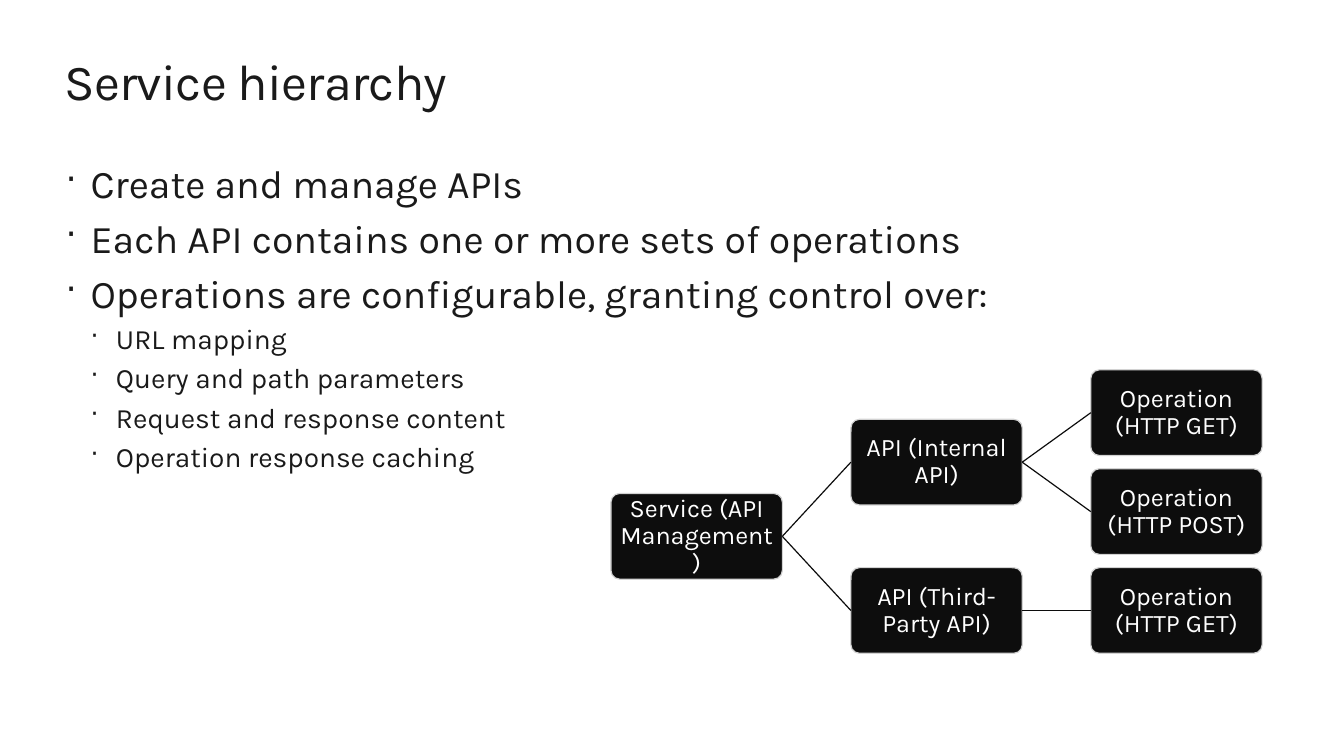
from lxml.etree import SubElement
from pptx import Presentation
from pptx.dml.color import RGBColor
from pptx.enum.shapes import MSO_CONNECTOR, MSO_SHAPE
from pptx.enum.text import MSO_ANCHOR, PP_ALIGN
from pptx.oxml.ns import qn
from pptx.util import Inches, Pt

INK, NODE_FILL, NODE_EDGE, LINK, WHITE = "1A1A1A", "0D0D0D", "D2D2D2", "0C0C0C", "FFFFFF"
LEFT_SITE, RIGHT_SITE = 1, 3

BULLETS = [
    (0, "Create and manage APIs"),
    (0, "Each API contains one or more sets of operations"),
    (0, "Operations are configurable, granting control over:"),
    (1, "URL mapping"),
    (1, "Query and path parameters"),
    (1, "Request and response content"),
    (1, "Operation response caching"),
]

HIERARCHY = {
    "service": (0, 2.5, "Service (API Management)", None),
    "internal": (1, 1, "API (Internal API)", "service"),
    "internal get": (2, 0, "Operation (HTTP GET)", "internal"),
    "internal post": (2, 2, "Operation (HTTP POST)", "internal"),
    "third-party": (1, 4, "API (Third-Party API)", "service"),
    "third-party get": (2, 4, "Operation (HTTP GET)", "third-party"),
}


def color(value):
    return RGBColor.from_string(value)


def apply(target, values):
    for name, value in values.items():
        setattr(target, name, value)


class HierarchySlide:
    font = "Karla"
    sizes = {"title": 36, 0: 28, 1: 20, "node": 18}
    tree_left, tree_top = 45.46, 48.93
    column, row = 17.85, 6.54
    node_width, node_height = 12.75, 11.33

    def __init__(self, deck):
        self.width, self.height = deck.slide_width, deck.slide_height
        self.slide = deck.slides.add_slide(deck.slide_layouts[6])
        self.shapes = self.slide.shapes
        self.paint(self.slide.background.fill, WHITE)

    def place(self, left, top, width, height):
        return [round(share * side / 100) for share, side in (
            (left, self.width), (top, self.height),
            (width, self.width), (height, self.height))]

    def paint(self, fill, ink):
        fill.solid()
        fill.fore_color.rgb = color(ink)

    def stroke(self, line, ink):
        line.color.rgb = color(ink)
        line.width = Pt(0.85)

    def frame(self, holder, inset, anchor):
        sides = ("left", "top", "right", "bottom")
        margins = {f"margin_{side}": Inches(inset) for side in sides}
        apply(holder.text_frame, {
            "word_wrap": True, "vertical_anchor": anchor, **margins})
        return holder.text_frame

    def wording(self, paragraph, words, size, ink):
        run = paragraph.add_run()
        run.text = words
        apply(run.font, {"name": self.font, "size": Pt(self.sizes[size])})
        run.font.color.rgb = color(ink)
        return run

    def title(self, words, *area):
        heading = self.shapes.add_textbox(*self.place(*area))
        frame = self.frame(heading, 0, MSO_ANCHOR.TOP)
        run = self.wording(frame.paragraphs[0], words, "title", INK)
        run._r.get_or_add_rPr().set("spc", "-50")

    def bullets(self, items, *area):
        body = self.shapes.add_textbox(*self.place(*area))
        frame = self.frame(body, 0, MSO_ANCHOR.TOP)
        for index, (level, words) in enumerate(items):
            paragraph = frame.add_paragraph() if index else frame.paragraphs[0]
            paragraph.level = level
            self.wording(paragraph, words, level, INK)
            properties = paragraph._p.get_or_add_pPr()
            properties.set("marL", str(Inches(0.25 * (level + 1))))
            properties.set("indent", str(Inches(-0.25)))
            before = SubElement(properties, qn("a:spcBef"))
            SubElement(before, qn("a:spcPct"), val="20000")
            SubElement(properties, qn("a:buSzPct"), val="90000")
            SubElement(properties, qn("a:buChar"), char="·")

    def node(self, column, row, words):
        box = self.shapes.add_shape(MSO_SHAPE.ROUNDED_RECTANGLE, *self.place(
            self.tree_left + column * self.column, self.tree_top + row * self.row,
            self.node_width, self.node_height))
        box.adjustments[0] = 0.1
        box.shadow.inherit = False
        self.paint(box.fill, NODE_FILL)
        self.stroke(box.line, NODE_EDGE)
        paragraph = self.frame(box, 0.03, MSO_ANCHOR.MIDDLE).paragraphs[0]
        apply(paragraph, {"alignment": PP_ALIGN.CENTER, "line_spacing": 0.9})
        self.wording(paragraph, words, "node", WHITE)
        return box

    def link(self, parent, child):
        branch = self.shapes.add_connector(MSO_CONNECTOR.STRAIGHT, 0, 0, 0, 0)
        branch.begin_connect(parent, RIGHT_SITE)
        branch.end_connect(child, LEFT_SITE)
        self.stroke(branch.line, LINK)
        SubElement(branch._element.spPr, qn("a:effectLst"))

    def tree(self, hierarchy):
        nodes = {}
        for key, (column, row, words, parent) in hierarchy.items():
            nodes[key] = self.node(column, row, words)
            if parent:
                self.link(nodes[parent], nodes[key])


def main():
    deck = Presentation()
    apply(deck, {"slide_width": Inches(13.33), "slide_height": Inches(7.5)})
    page = HierarchySlide(deck)
    page.title("Service hierarchy", 4.8, 6.67, 90.4, 8.13)
    page.bullets(BULLETS, 4.88, 21.07, 90.4, 42.93)
    page.tree(HIERARCHY)
    deck.save("out.pptx")


if __name__ == "__main__":
    main()
